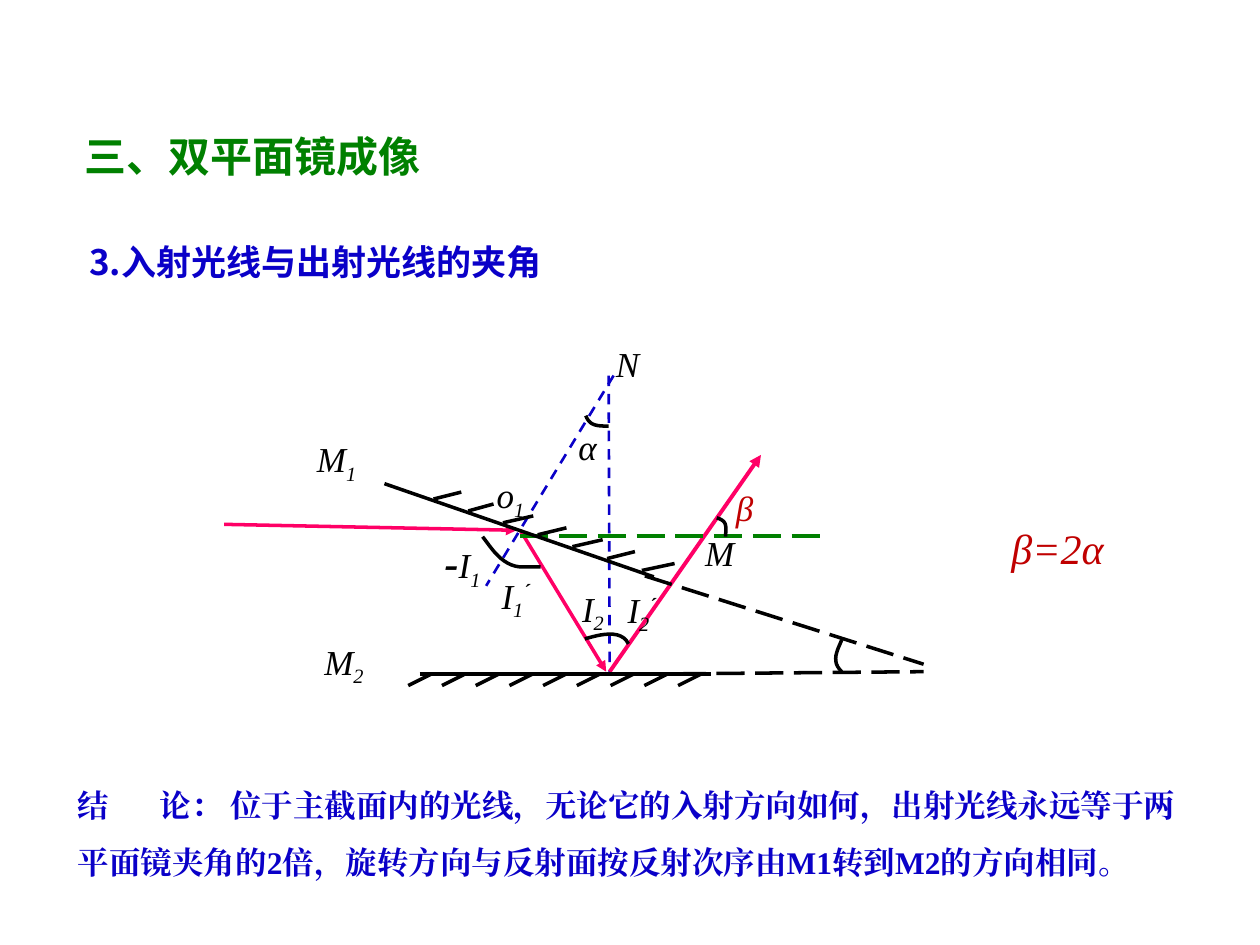
from dataclasses import dataclass

from lxml import etree
from pptx import Presentation
from pptx.dml.color import RGBColor
from pptx.enum.dml import MSO_LINE
from pptx.enum.shapes import MSO_CONNECTOR
from pptx.enum.text import MSO_ANCHOR, PP_ALIGN
from pptx.oxml.ns import qn
from pptx.util import Cm, Pt

STRAIGHT = MSO_CONNECTOR.STRAIGHT
DASH, LONG_DASH = MSO_LINE.DASH, MSO_LINE.LONG_DASH
TOP, MIDDLE = MSO_ANCHOR.TOP, MSO_ANCHOR.MIDDLE
LEFT, CENTER = PP_ALIGN.LEFT, PP_ALIGN.CENTER


@dataclass(frozen=True)
class Theme:
    """Colours, fonts and sizes of the slide."""
    black: str = "000000"
    blue: str = "0A00C8"
    green: str = "008000"
    pink: str = "FF0066"
    red: str = "C00000"
    sans: str = "Noto Sans CJK SC"
    serif: str = "Times New Roman"
    large: int = 24
    medium: int = 20
    body: int = 18
    thin: float = 1.5
    line: float = 2
    thick: float = 2.25


THEME = Theme()
SUBSCRIPT, SUPERSCRIPT = -25000, 30000


def add_text(shapes, box, *runs, size=THEME.medium, font=THEME.serif, color=THEME.black,
             bold=False, italic=False, align=LEFT, anchor=TOP, wrap=False, spacing=None, tab=None):
    """Add a text box; each run is a string or a (string, overrides) pair."""
    shape = shapes.add_textbox(*map(Cm, box))
    frame = shape.text_frame
    frame.word_wrap, frame.vertical_anchor = wrap, anchor
    paragraph = frame.paragraphs[0]
    paragraph.alignment = align
    if spacing:
        paragraph.line_spacing = spacing
    if tab:
        tabs = etree.SubElement(paragraph._p.get_or_add_pPr(), qn("a:tabLst"))
        etree.SubElement(tabs, qn("a:tab"), pos=str(Cm(tab)), algn="l")
    for item in runs:
        text, changes = (item, {}) if isinstance(item, str) else item
        run = paragraph.add_run()
        run.text = text
        run.font.size = Pt(changes.get("size", size))
        run.font.bold = changes.get("bold", bold)
        run.font.italic = italic
        run.font.name = font
        run.font.color.rgb = RGBColor.from_string(color)
        properties = run.font._element
        etree.SubElement(properties, qn("a:ea"), typeface=font)
        if "baseline" in changes:
            properties.set("baseline", str(changes["baseline"]))


def style_line(shape, color, width, dash=None, arrow=False):
    """Set the outline of a line or curve and remove its shadow."""
    shape.line.color.rgb = RGBColor.from_string(color)
    shape.line.width = Pt(width)
    if dash:
        shape.line.dash_style = dash
    if arrow:
        etree.SubElement(shape.line._get_or_add_ln(), qn("a:tailEnd"), type="triangle")
    etree.SubElement(shape._element.spPr, qn("a:effectLst"))


def add_line(shapes, origin, start, end, color=THEME.black, width=THEME.line, **style):
    """Add a straight line between two points relative to the origin."""
    points = [Cm(base + offset) for point in (start, end) for base, offset in zip(origin, point)]
    style_line(shapes.add_connector(STRAIGHT, *points), color, width, **style)


def bezier(controls, steps=12):
    """Return points along a cubic curve, without its start."""
    points = []
    for step in range(1, steps + 1):
        t = step / steps
        weights = ((1 - t) ** 3, 3 * t * (1 - t) ** 2, 3 * t * t * (1 - t), t ** 3)
        points.append([sum(w * c for w, c in zip(weights, axis)) for axis in zip(*controls)])
    return points


def add_arc(shapes, origin, *controls):
    """Add an open angle mark made of joined cubic curves."""
    points = [controls[0]]
    for index in range(0, len(controls) - 1, 3):
        points += bezier(controls[index:index + 4])
    first, *rest = [tuple(Cm(base + offset) for base, offset in zip(origin, point))
                    for point in points]
    builder = shapes.build_freeform(*first)
    builder.add_line_segments(rest, close=False)
    shape = builder.convert_to_shape()
    shape.fill.background()
    style_line(shape, THEME.black, THEME.line)


def add_mirrors(shapes, origin):
    """Draw both hatched mirrors and their dashed extensions."""
    add_line(shapes, origin, (3.94, 6.81), (9.81, 6.81))
    for index in range(9):
        x = 4.17 + 0.68 * index
        add_line(shapes, origin, (x, 6.81), (x - 0.46, 7.04))
    add_line(shapes, origin, (3.23, 2.97), (8.66, 4.85))
    for index, length in enumerate((0.56, 0.51, 0.61, 0.58, 0.61, 0.56, 0.66)):
        x, y = 4.22 + 0.7 * index, 3.28 + 0.24 * index
        add_line(shapes, origin, (x, y), (x + length, y - 0.14))
    add_line(shapes, origin, (8.36, 6.81), (14.1, 6.76), dash=LONG_DASH)
    add_line(shapes, origin, (8.48, 4.83), (14.1, 6.61), dash=LONG_DASH)


def add_rays(shapes, origin):
    """Draw the normals, the light path and the extended incident ray."""
    for start, end in (((7.75, 0.79), (7.77, 6.81)), ((7.85, 0.79), (5.28, 5.03))):
        add_line(shapes, origin, start, end, THEME.blue, THEME.thin, dash=DASH)
    for start, end, width in (((0, 3.79), (5.89, 3.91), THEME.line),
                              ((5.97, 3.91), (7.7, 6.76), THEME.line),
                              ((7.77, 6.76), (10.82, 2.39), THEME.thick)):
        add_line(shapes, origin, start, end, THEME.pink, width, arrow=True)
    add_line(shapes, origin, (5.97, 4.02), (12.09, 4.02), THEME.green, dash=LONG_DASH)


def add_angles(shapes, origin):
    """Draw the angle marks."""
    for controls in (
        ((9.93, 3.66), (10.16, 3.73), (10.11, 3.84), (10.11, 4.04)),
        ((7.29, 1.6), (7.37, 1.81), (7.52, 1.81), (7.75, 1.81)),
        ((5.21, 4.04), (5.39, 4.27), (5.59, 4.62), (5.97, 4.65),
         (6.1, 4.65), (6.22, 4.65), (6.38, 4.65)),
        ((7.27, 6.1), (7.55, 6.02), (8, 5.89), (8.15, 6.2)),
        ((12.45, 6.12), (12.37, 6.32), (12.22, 6.55), (12.45, 6.76)),
    ):
        add_arc(shapes, origin, *controls)


def add_labels(shapes, origin):
    """Name the mirrors, points and angles."""
    one, two = (("1", {"baseline": SUBSCRIPT}), ("2", {"baseline": SUBSCRIPT}))
    prime = ("ˊ", {"baseline": SUPERSCRIPT, "bold": True})
    minus = ("-", {"size": THEME.large, "bold": True})
    for x, y, width, runs, color in (
        (1.58, 1.91, 1.37, ("M", one), THEME.black),
        (1.73, 6, 1.37, ("M", two), THEME.black),
        (5.21, 2.64, 1.12, ("o", one), THEME.black),
        (9.42, 3.81, 1.14, ("M",), THEME.black),
        (10.06, 2.9, 0.86, ("β",), THEME.red),
        (7.62, 0, 1.02, ("N",), THEME.black),
        (6.88, 1.68, 0.89, ("α",), THEME.black),
        (4.17, 3.91, 1.27, (minus, "I", one), THEME.black),
        (5.31, 4.67, 1.14, ("I", one, prime), THEME.black),
        (6.94, 4.93, 0.99, ("I", two), THEME.black),
        (7.85, 4.95, 1.14, ("I", two, prime), THEME.black),
    ):
        height = 1.27 if minus in runs else 1.12
        add_text(shapes, (origin[0] + x, origin[1] + y, width, height), *runs,
                 color=color, italic=True, align=CENTER)


def add_diagram(slide, origin):
    """Draw the grouped two-mirror diagram from its top left corner."""
    shapes = slide.shapes.add_group_shape().shapes
    for add_part in (add_rays, add_mirrors, add_angles, add_labels):
        add_part(shapes, origin)


def add_headings(slide, left, top):
    """Place the section title and the numbered heading."""
    add_text(slide.shapes, (left, top, 15.44, 1.6), "三、双平面镜成像", size=THEME.large,
             font=THEME.sans, color=THEME.green, bold=True, anchor=MIDDLE, wrap=True)
    add_text(slide.shapes, (left + 0.1, top + 2.38, 9.83, 1.12), "3.入射光线与出射光线的夹角",
             font=THEME.sans, color=THEME.blue, bold=True)


def add_conclusion(slide, box):
    """Place the concluding statement."""
    add_text(slide.shapes, box,
             "结\t论： 位于主截面内的光线，无论它的入射方向如何，出射光线永远等于两平面镜夹角的2倍，"
             "旋转方向与反射面按反射次序由M1转到M2的方向相同。",
             size=THEME.body, color=THEME.blue, bold=True, wrap=True, spacing=1.5, tab=1.65)


def main():
    """Build and save the slide."""
    presentation = Presentation()
    presentation.slide_width, presentation.slide_height = Cm(25.4), Cm(19.05)
    slide = presentation.slides.add_slide(presentation.slide_layouts[6])
    add_headings(slide, 1.45, 2.34)
    add_conclusion(slide, (1.32, 15.34, 22.68, 2.57))
    add_diagram(slide, (4.52, 6.78))
    add_text(slide.shapes, (20.09, 10.41, 2.46, 1.27), "β=2α", size=THEME.large,
             color=THEME.red, italic=True, align=CENTER)
    presentation.save("out.pptx")


if __name__ == "__main__":
    main()
